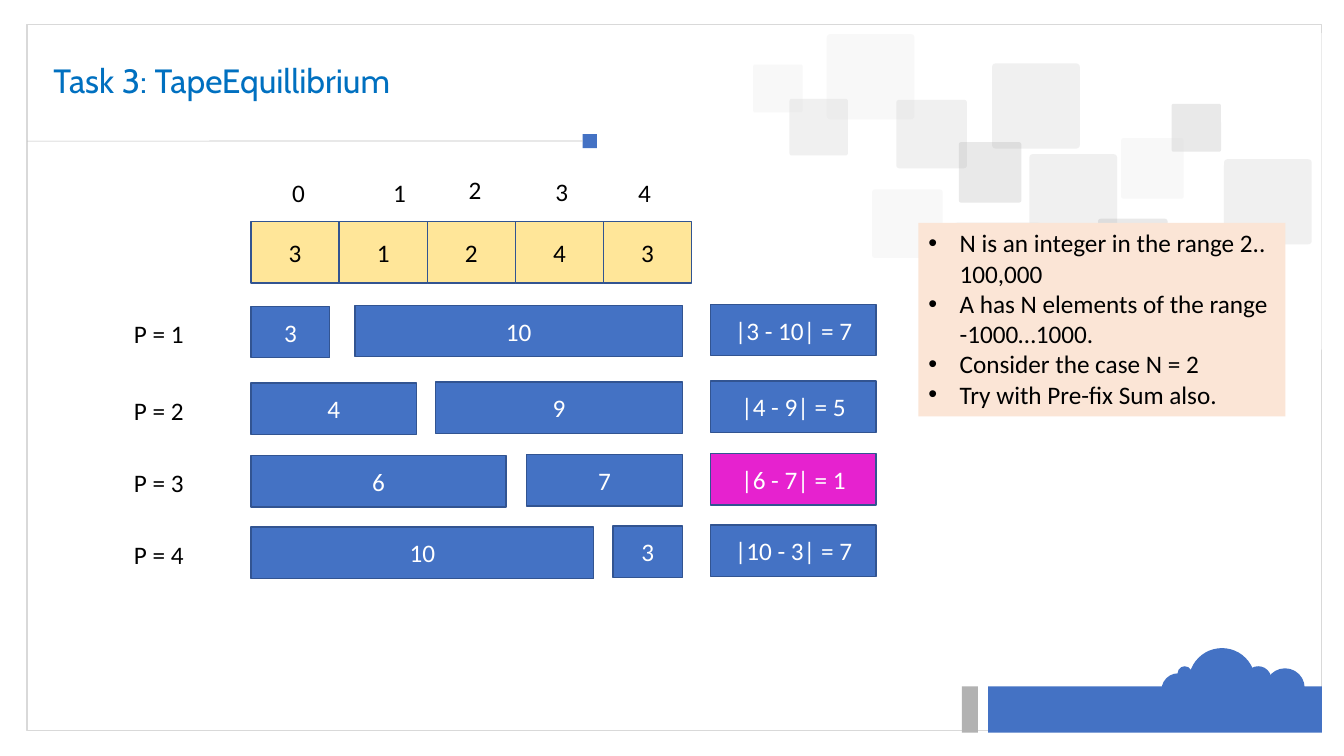
import pptx
import pptx.util
from lxml import etree
from pptx.dml.color import RGBColor
from pptx.enum.shapes import MSO_CONNECTOR, MSO_SHAPE
from pptx.enum.text import MSO_ANCHOR, PP_ALIGN
from pptx.oxml.ns import qn

BLUE = RGBColor(0x44, 0x72, 0xC4)
DARK_BLUE = RGBColor(0x32, 0x54, 0x91)
TITLE_BLUE = RGBColor(0x00, 0x70, 0xC0)
MAGENTA = RGBColor(0xE6, 0x22, 0xCF)
YELLOW = RGBColor(0xFF, 0xE6, 0x99)
PEACH = RGBColor(0xFB, 0xE5, 0xD6)
BLACK = RGBColor(0x00, 0x00, 0x00)
WHITE = RGBColor(0xFF, 0xFF, 0xFF)
GRAY = RGBColor(0xB2, 0xB2, 0xB2)
RULE_GRAY = RGBColor(0xBF, 0xBF, 0xBF)
FRAME_GRAY = RGBColor(0xD9, 0xD9, 0xD9)

SLIDE_WIDTH, SLIDE_HEIGHT = 13.33, 7.5
TITLE = "Task 3: TapeEquillibrium"
TAPE = ["3", "1", "2", "4", "3"]
INDEX_PLACES = [(2.8, 1.71), (3.8, 1.71), (4.55, 1.68), (5.41, 1.7), (6.23, 1.71)]
# label, row top, left part, its right edge, right part, its left edge, difference, colour
SPLITS = [
    ("P = 1", 3.02, "3", 3.27, "10", 3.52, "|3 - 10| = 7", BLUE),
    ("P = 2", 3.78, "4", 4.13, "9", 4.32, "|4 - 9| = 5", BLUE),
    ("P = 3", 4.5, "6", 5.02, "7", 5.22, "|6 - 7| = 1", MAGENTA),
    ("P = 4", 5.21, "10", 5.89, "3", 6.08, "|10 - 3| = 7", BLUE),
]
NOTES = [
    "N is an integer in the range 2.. 100,000",
    "A has N elements of the range -1000…1000.",
    "Consider the case N = 2",
    "Try with Pre-fix Sum also.",
]
# left, top, width, colour, opacity in percent
SQUARES = [
    (8.2, 0.34, 0.87, GRAY, 16), (9.84, 0.63, 0.87, GRAY, 36),
    (9.46, 2.21, 0.87, GRAY, 36), (10.21, 1.53, 0.87, GRAY, 36),
    (8.89, 0.99, 0.7, GRAY, 36), (8.65, 1.88, 0.7, GRAY, 16),
    (9.51, 1.41, 0.62, BLACK, 16), (11.62, 1.03, 0.49, BLACK, 16),
    (11.12, 1.37, 0.62, GRAY, 16), (10.89, 2.17, 0.69, BLACK, 16),
    (7.83, 0.98, 0.58, GRAY, 35), (7.47, 0.64, 0.49, GRAY, 16),
    (12.14, 1.58, 0.87, GRAY, 36),
]
CLOUD_PUFFS = [(11.79, 6.43, 0.66), (11.52, 6.68, 0.33), (12.35, 6.61, 0.26),
               (12.55, 6.63, 0.39), (11.68, 6.61, 0.14)]

TAPE_LEFT, TAPE_TOP, CELL_WIDTH, CELL_HEIGHT = 2.49, 2.2, 0.874, 0.61
PARTS_RIGHT, RESULT_LEFT, RESULT_WIDTH, BAR_HEIGHT = 6.77, 7.05, 1.64, 0.51
LABEL_LEFT, LABEL_WIDTH, LABEL_HEIGHT = 1.23, 1.26, 0.4
RULE_TOP, MARK_SIZE, MARK_LEFT = 1.4, 0.14, 5.78
FRAME = (0.27, 0.24, 12.84, 7.01)

deck = pptx.Presentation()
deck.slide_width = pptx.util.Inches(SLIDE_WIDTH)
deck.slide_height = pptx.util.Inches(SLIDE_HEIGHT)
page = deck.slides.add_slide(deck.slide_layouts[6])


def add_bullet(para):
    properties = para._p.get_or_add_pPr()
    indent = pptx.util.Inches(0.31)
    properties.set("marL", str(indent))
    properties.set("indent", str(-indent))
    font = etree.SubElement(properties, qn("a:buFont"))
    font.set("typeface", "Arial")
    etree.SubElement(properties, qn("a:buChar")).set("char", "•")


def write(box, lines, size=18, font="Calibri", color=BLACK, align=PP_ALIGN.LEFT,
          anchor=MSO_ANCHOR.TOP, spacing=None, bullets=False):
    frame = box.text_frame
    frame.word_wrap = True
    frame.vertical_anchor = anchor
    for number, line in enumerate(lines):
        para = frame.add_paragraph() if number else frame.paragraphs[0]
        if bullets:
            add_bullet(para)
        para.alignment = align
        if spacing:
            para.line_spacing = spacing
        span = para.add_run()
        span.text = line
        span.font.size = pptx.util.Pt(size)
        span.font.name = font
        span.font.color.rgb = color


def add_box(place, fill=None, line=None, kind=MSO_SHAPE.RECTANGLE, opacity=None):
    box = page.shapes.add_shape(kind, *map(pptx.util.Inches, place))
    box.shadow.inherit = False
    if fill is None:
        box.fill.background()
    else:
        box.fill.solid()
        box.fill.fore_color.rgb = fill
    if opacity is not None:
        color = box.fill._xPr.find(qn("a:solidFill"))[0]
        etree.SubElement(color, qn("a:alpha")).set("val", str(opacity * 1000))
    if line is None:
        box.line.fill.background()
    else:
        box.line.color.rgb = line
        box.line.width = pptx.util.Pt(1)
    return box


def add_value(place, text, fill=BLUE, color=WHITE):
    """Draw an outlined box with one centred value."""
    write(add_box(place, fill, DARK_BLUE), [text], color=color,
          align=PP_ALIGN.CENTER, anchor=MSO_ANCHOR.MIDDLE)


def add_text(place, text, **text_format):
    write(page.shapes.add_textbox(*map(pptx.util.Inches, place)), [text], **text_format)


def draw_background():
    add_box(FRAME, line=FRAME_GRAY)
    add_box((9.8, 6.81, 3.31, 0.46), BLUE)
    add_box((9.54, 6.81, 0.16, 0.46), GRAY)
    mark = add_box((MARK_LEFT, RULE_TOP - MARK_SIZE / 2, MARK_SIZE, MARK_SIZE), BLUE)
    ends = (FRAME[0], RULE_TOP, MARK_LEFT, RULE_TOP)
    rule = page.shapes.add_connector(MSO_CONNECTOR.STRAIGHT, *map(pptx.util.Inches, ends))
    rule.end_connect(mark, 1)
    rule.line.color.rgb = RULE_GRAY
    rule.line.width = pptx.util.Pt(0.5)
    etree.SubElement(rule._element.spPr, qn("a:effectLst"))
    for left, top, width, color, opacity in SQUARES:
        square = add_box((left, top, width, width * 0.97), color,
                         kind=MSO_SHAPE.ROUNDED_RECTANGLE, opacity=opacity)
        square.adjustments[0] = 0.04
    add_box((7.12, 0.33, 5.99, 3.14), WHITE, opacity=48)
    for left, top, size in CLOUD_PUFFS:
        add_box((left, top, size, size), BLUE, kind=MSO_SHAPE.OVAL)


def draw_tape():
    for column, value in enumerate(TAPE):
        left = TAPE_LEFT + column * CELL_WIDTH
        add_value((left, TAPE_TOP, CELL_WIDTH, CELL_HEIGHT), value, YELLOW, BLACK)
    for index, (left, top) in enumerate(INDEX_PLACES):
        add_text((left, top, 0.3, LABEL_HEIGHT), str(index))


def draw_splits():
    for label, top, first, first_right, second, second_left, result, color in SPLITS:
        add_text((LABEL_LEFT, top + 0.09, LABEL_WIDTH, LABEL_HEIGHT), label)
        add_value((TAPE_LEFT, top + 0.02, first_right - TAPE_LEFT, BAR_HEIGHT), first)
        add_value((second_left, top + 0.01, PARTS_RIGHT - second_left, BAR_HEIGHT), second)
        add_value((RESULT_LEFT, top, RESULT_WIDTH, BAR_HEIGHT), result, color)


def main():
    draw_background()
    add_text((0.43, 0.4, 12.45, 0.84), TITLE, size=24, font="Cabin", color=TITLE_BLUE,
             anchor=MSO_ANCHOR.MIDDLE, spacing=0.9)
    draw_tape()
    draw_splits()
    write(add_box((9.11, 2.21, 3.64, 1.92), PEACH), NOTES, bullets=True)
    deck.save("out.pptx")


if __name__ == "__main__":
    main()
